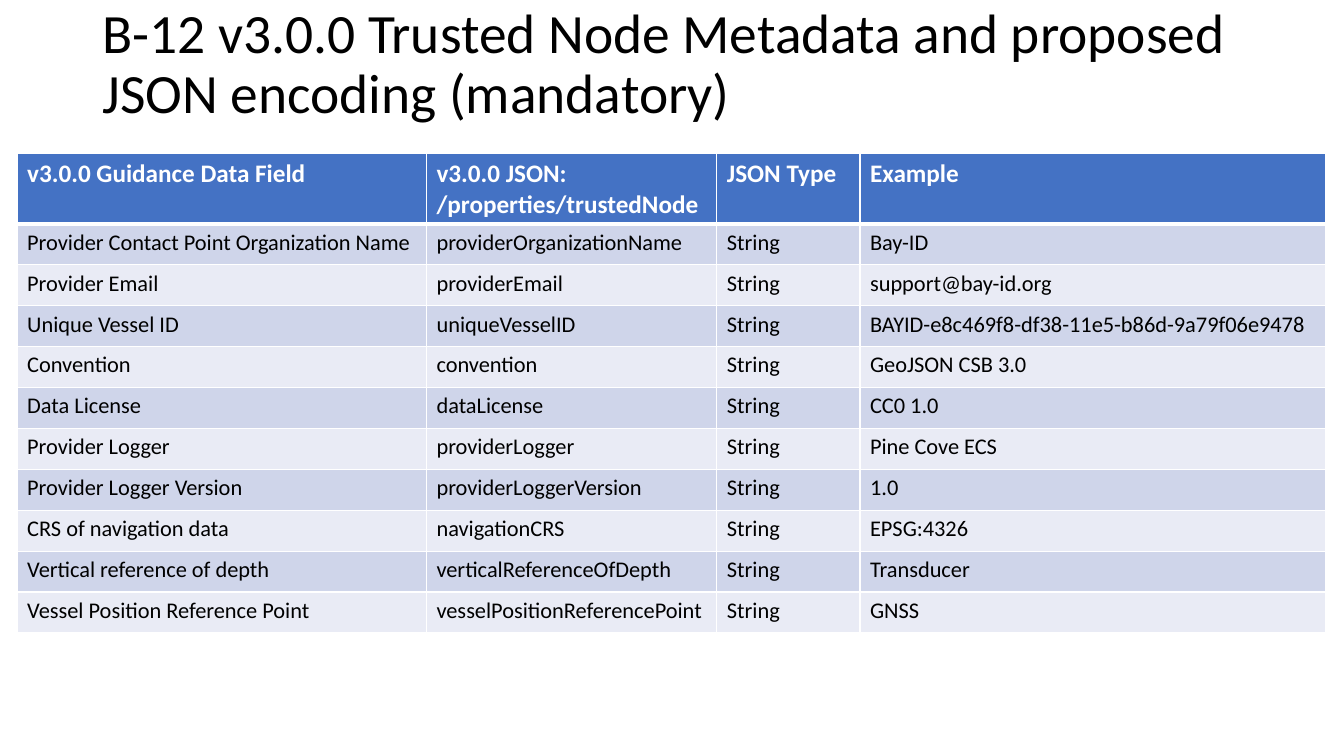
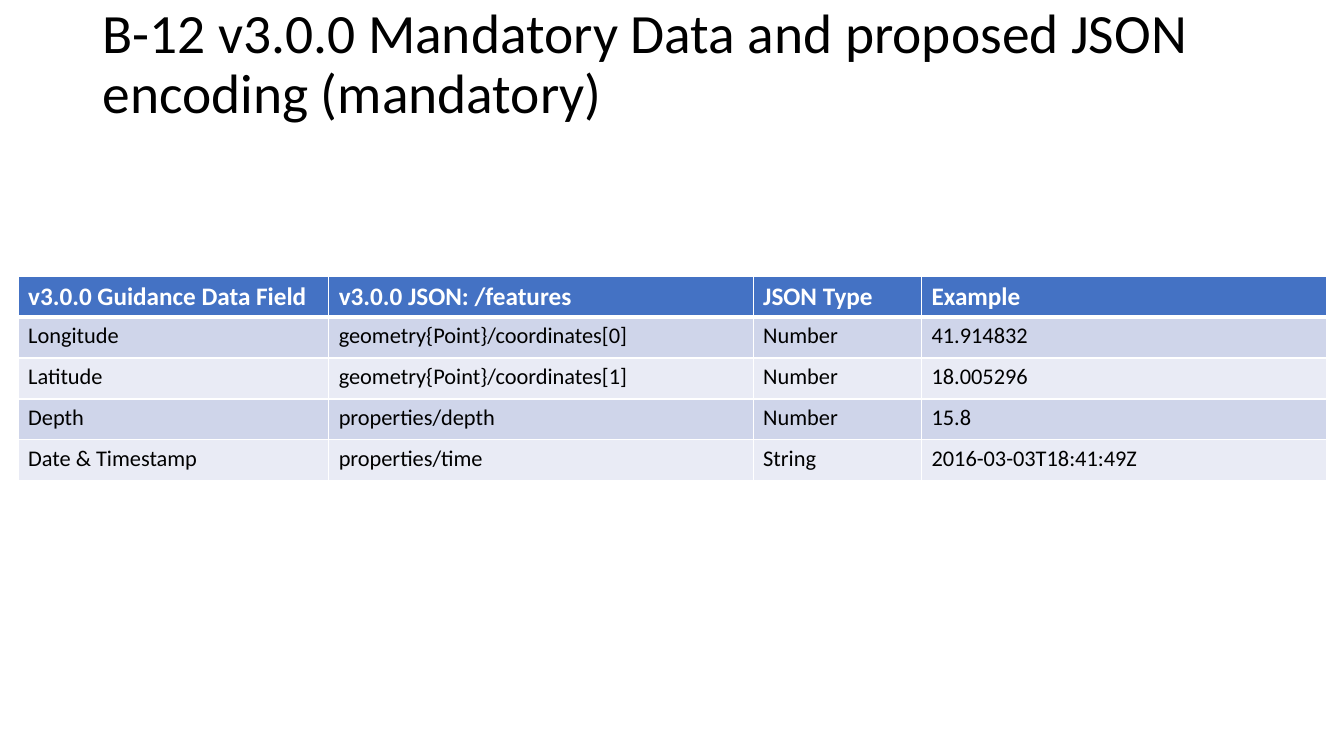
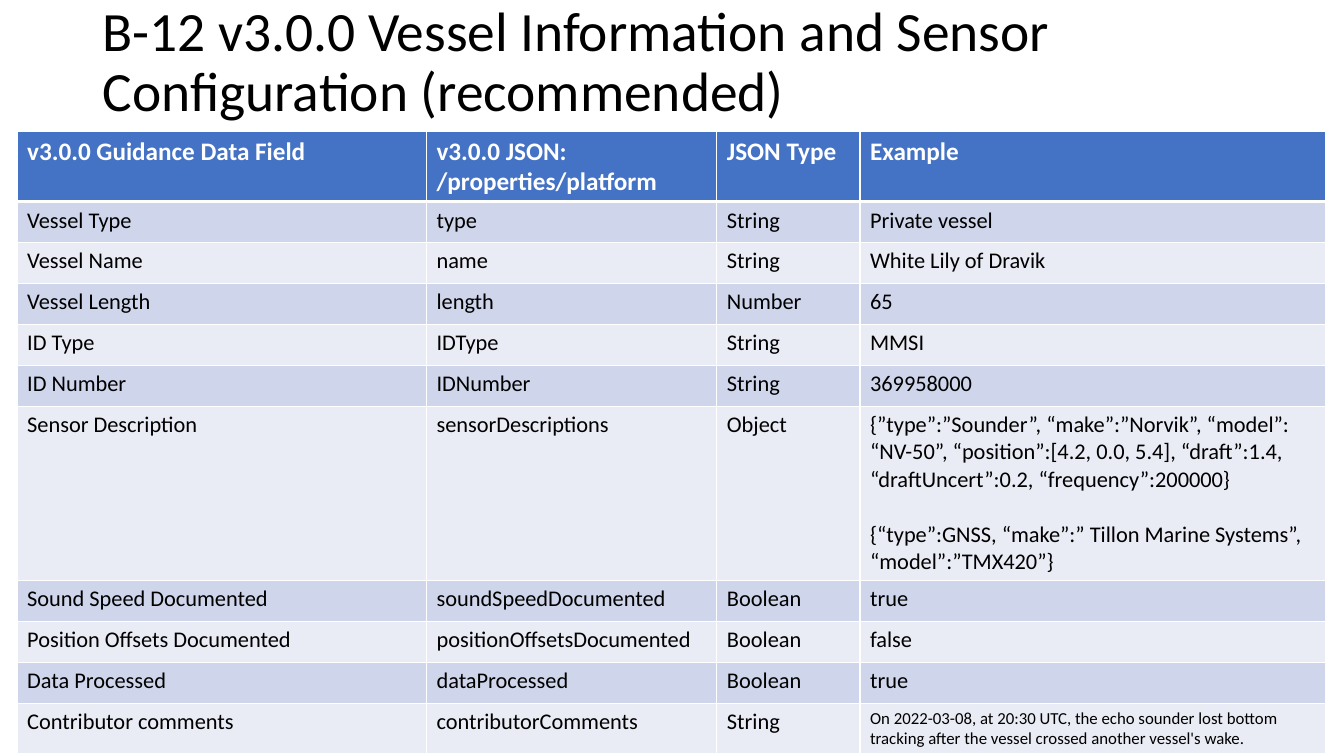
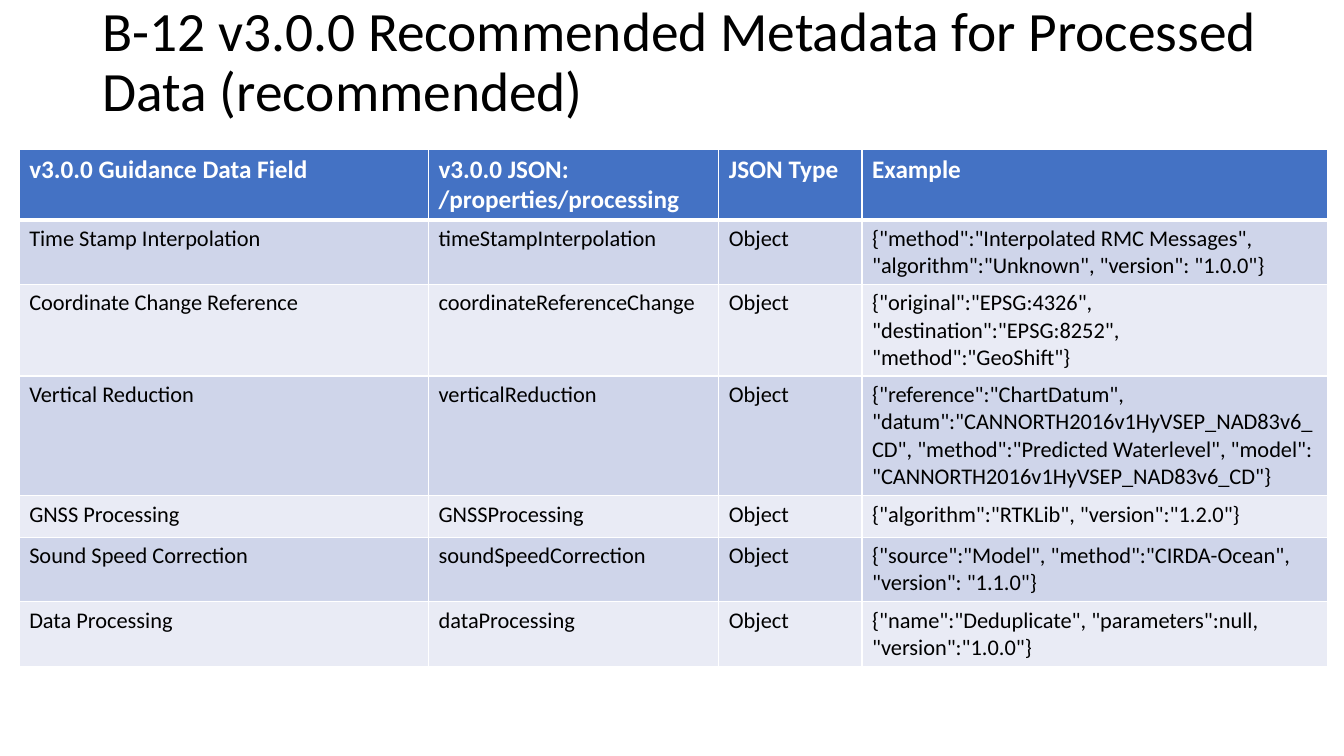
from dataclasses import dataclass
from lxml.etree import SubElement as Sub
from pptx import Presentation
from pptx.dml.color import RGBColor as Rgb
from pptx.enum.text import MSO_ANCHOR as Anchor
from pptx.oxml.ns import qn
from pptx.util import Inches, Pt


@dataclass(frozen=True)
class Theme:
    font: str = "Calibri"
    ink: str = "000000"
    white: str = "FFFFFF"
    head: str = "4472C4"
    bands: tuple = ("E9EBF5", "CFD5EA")
    title: float = 39.6
    label: float = 18
    body: float = 16
    note: float = 12
    gap: float = 19.5
    thin: float = 1
    thick: float = 3


T = Theme()
WIDE = (4.06, 2.88, 1.42, 4.62)
FIELD = "v3.0.0 Guidance Data Field"


def write(frame, text, size=T.body, color=T.ink, bold=False, lead=None, gap=0):
    frame.word_wrap = True
    for i, line in enumerate(text.split("\n")):
        para = frame.paragraphs[0] if i == 0 else frame.add_paragraph()
        if lead:
            para.line_spacing = lead
        if i:
            para.space_before = Pt(gap)
        run = para.add_run()
        run.text = line
        font = run.font
        font.name, font.size, font.bold = T.font, Pt(size), bold
        font.color.rgb = Rgb.from_string(color)


def edge(cell, side, width):
    line = Sub(cell._tc.get_or_add_tcPr(), qn(f"a:ln{side}"), w=str(Pt(width)))
    fill = Sub(line, qn("a:solidFill"))
    Sub(fill, qn("a:srgbClr"), val=T.white)


def paint(cell, row):
    for side in "LRTB":
        heavy = (row, side) in ((0, "B"), (1, "T"))
        edge(cell, side, T.thick if heavy else T.thin)
    cell.fill.solid()
    color = T.bands[row % 2] if row else T.head
    cell.fill.fore_color.rgb = Rgb.from_string(color)


def add_title(slide, text, box):
    shape = slide.shapes.add_textbox(*map(Inches, box))
    shape.text_frame.vertical_anchor = Anchor.MIDDLE
    write(shape.text_frame, text, size=T.title, lead=0.9)


def add_grid(slide, rows, box, cols, tall, notes):
    frame = slide.shapes.add_table(len(rows), len(cols), *map(Inches, box))
    grid = frame.table
    grid.first_row = grid.horz_banding = False
    for col, width in zip(grid.columns, cols):
        col.width = Inches(width)
    plain = (box[3] - sum(tall.values())) / (len(rows) - len(tall))
    for r, row in enumerate(rows):
        grid.rows[r].height = Inches(tall.get(r, plain))
        for c, text in enumerate(row):
            cell = grid.cell(r, c)
            paint(cell, r)
            if r == 0:
                style = dict(size=T.label, color=T.white, bold=True)
            else:
                style = dict(size=T.note if (r, c) in notes else T.body)
            write(cell.text_frame, text, gap=T.gap, **style)


def add_page(deck, title, key, rows, left, top, high,
             span=(11.5, 1.3), cols=WIDE, tall=None, notes=()):
    slide = deck.slides.add_slide(deck.slide_layouts[6])
    add_title(slide, title, (0.92, 0, *span))
    head = (FIELD, f"v3.0.0 JSON: {key}", "JSON Type", "Example")
    box = (left, top, sum(cols), high)
    add_grid(slide, [head, *rows], box, cols, tall or {}, notes)


NODE = [
    ("Provider Contact Point Organization Name", "providerOrganizationName", "String", "Bay-ID"),
    ("Provider Email", "providerEmail", "String", "support@bay-id.org"),
    ("Unique Vessel ID", "uniqueVesselID", "String", "BAYID-e8c469f8-df38-11e5-b86d-9a79f06e9478"),
    ("Convention", "convention", "String", "GeoJSON CSB 3.0"),
    ("Data License", "dataLicense", "String", "CC0 1.0"),
    ("Provider Logger", "providerLogger", "String", "Pine Cove ECS"),
    ("Provider Logger Version", "providerLoggerVersion", "String", "1.0"),
    ("CRS of navigation data", "navigationCRS", "String", "EPSG:4326"),
    ("Vertical reference of depth", "verticalReferenceOfDepth", "String", "Transducer"),
    ("Vessel Position Reference Point", "vesselPositionReferencePoint", "String", "GNSS"),
]
DATA = [
    ("Longitude", "geometry{Point}/coordinates[0]", "Number", "41.914832"),
    ("Latitude", "geometry{Point}/coordinates[1]", "Number", "18.005296"),
    ("Depth", "properties/depth", "Number", "15.8"),
    ("Date & Timestamp", "properties/time", "String", "2016-03-03T18:41:49Z"),
]
SENSOR = (
    "{”type”:”Sounder”, “make”:”Norvik”, “model”: “NV-50”, “position”:[4.2, 0.0, 5.4], "
    "“draft”:1.4, “draftUncert”:0.2, “frequency”:200000}\n"
    "{“type”:GNSS, “make”:” Tillon Marine Systems”, “model”:”TMX420”}"
)
REMARK = (
    "On 2022-03-08, at 20:30 UTC, the echo sounder lost bottom tracking "
    "after the vessel crossed another vessel's wake."
)
VESSEL = [
    ("Vessel Type", "type", "String", "Private vessel"),
    ("Vessel Name", "name", "String", "White Lily of Dravik"),
    ("Vessel Length", "length", "Number", "65"),
    ("ID Type", "IDType", "String", "MMSI"),
    ("ID Number", "IDNumber", "String", "369958000"),
    ("Sensor Description", "sensorDescriptions", "Object", SENSOR),
    ("Sound Speed Documented", "soundSpeedDocumented", "Boolean", "true"),
    ("Position Offsets Documented", "positionOffsetsDocumented", "Boolean", "false"),
    ("Data Processed", "dataProcessed", "Boolean", "true"),
    ("Contributor comments", "contributorComments", "String", REMARK),
]
DATUM = (
    '{"reference":"ChartDatum", "datum":"CANNORTH2016v1HyVSEP_NAD83v6_CD", '
    '"method":"Predicted Waterlevel", "model": "CANNORTH2016v1HyVSEP_NAD83v6_CD"}'
)
PROCESS = [
    ("Time Stamp Interpolation", "timeStampInterpolation", "Object",
     '{"method":"Interpolated RMC Messages", "algorithm":"Unknown", "version": "1.0.0"}'),
    ("Coordinate Change Reference", "coordinateReferenceChange", "Object",
     '{"original":"EPSG:4326", "destination":"EPSG:8252", "method":"GeoShift"}'),
    ("Vertical Reduction", "verticalReduction", "Object", DATUM),
    ("GNSS Processing", "GNSSProcessing", "Object", '{"algorithm":"RTKLib", "version":"1.2.0"}'),
    ("Sound Speed Correction", "soundSpeedCorrection", "Object",
     '{"source":"Model", "method":"CIRDA-Ocean", "version": "1.1.0"}'),
    ("Data Processing", "dataProcessing", "Object",
     '{"name":"Deduplicate", "parameters":null, "version":"1.0.0"}'),
]


def main():
    deck = Presentation()
    deck.slide_width, deck.slide_height = Inches(13.33), Inches(7.5)
    add_page(deck, "B-12 v3.0.0 Trusted Node Metadata and proposed JSON encoding (mandatory)",
             "/properties/trustedNode", NODE, 0.17, 1.52, 4.76, tall={0: 0.7})
    add_page(deck, "B-12 v3.0.0 Mandatory Data and proposed JSON encoding (mandatory)",
             "/features", DATA, 0.18, 2.74, 2.03, cols=(3.08, 4.21, 1.67, 4.02))
    broad = (12.23, 1.26)
    add_page(deck, "B-12 v3.0.0 Vessel Information and Sensor Configuration (recommended)",
             "/properties/platform", VESSEL, 0.17, 1.3, 6.18, span=broad,
             tall={0: 0.7, 6: 1.73, 10: 0.5}, notes={(10, 3)})
    add_page(deck, "B-12 v3.0.0 Recommended Metadata for Processed Data (recommended)",
             "/properties/processing", PROCESS, 0.19, 1.48, 5.13, span=broad,
             tall={0: 0.7, 1: 0.64, 2: 0.91, 3: 1.19, 5: 0.64, 6: 0.64})
    deck.save("out.pptx")


if __name__ == "__main__":
    main()
